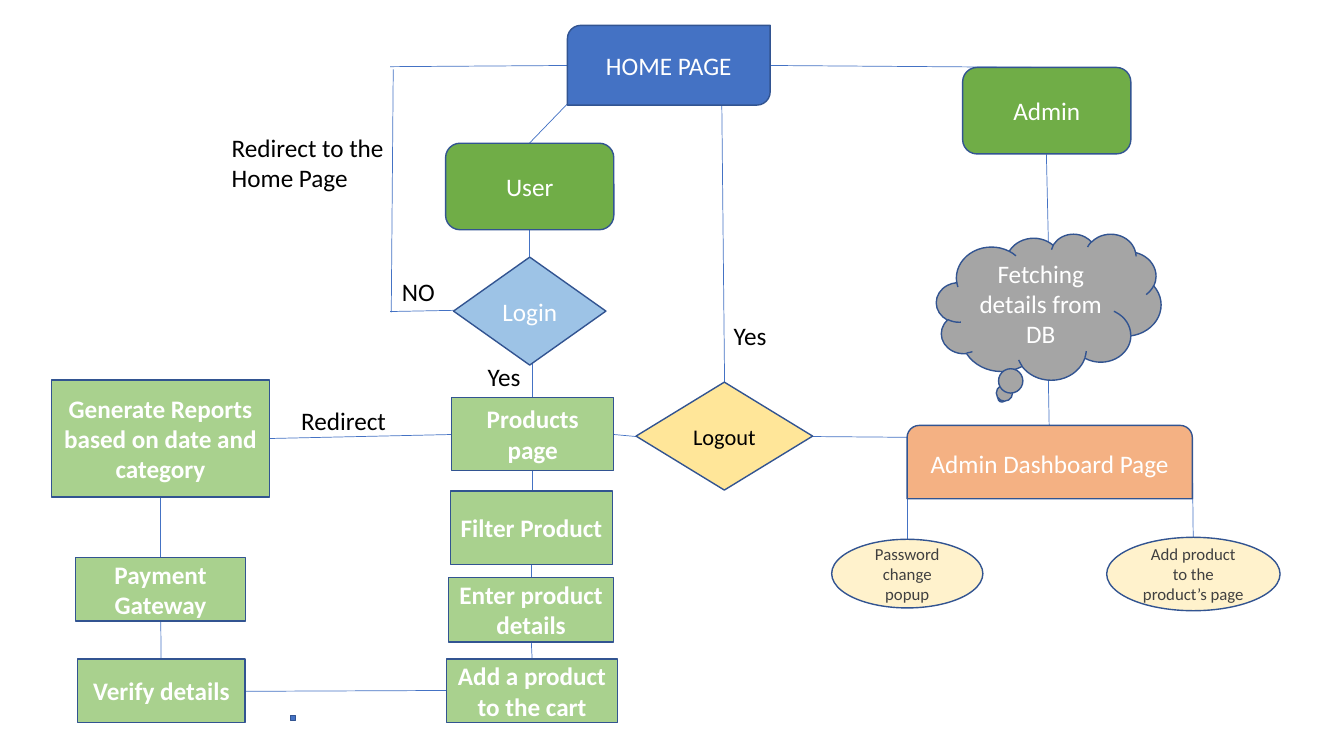
import dataclasses

import pptx
import pptx.dml.color
import pptx.enum.shapes
import pptx.enum.text
import pptx.oxml
import pptx.slide
import pptx.text.text
import pptx.util

RGBColor = pptx.dml.color.RGBColor
Cm = pptx.util.Cm
Pt = pptx.util.Pt
Kind = pptx.enum.shapes.MSO_SHAPE
Align = pptx.enum.text.PP_ALIGN

WHITE = RGBColor(0xFF, 0xFF, 0xFF)
BLACK = RGBColor(0x00, 0x00, 0x00)
DARK = RGBColor(0x40, 0x40, 0x40)
BLUE = RGBColor(0x44, 0x72, 0xC4)
NAVY = RGBColor(0x32, 0x54, 0x91)
SKY = RGBColor(0x9D, 0xC3, 0xE6)
GREEN = RGBColor(0x70, 0xAD, 0x47)
LIME = RGBColor(0xA9, 0xD1, 0x8E)
GREY = RGBColor(0xA5, 0xA5, 0xA5)
PEACH = RGBColor(0xF4, 0xB1, 0x83)
GOLD = RGBColor(0xFF, 0xE6, 0x99)
CREAM = RGBColor(0xFF, 0xF2, 0xCC)


# Lengths in the records are centimetres
@dataclasses.dataclass
class Node:
    text: str
    left: float
    top: float
    width: float
    height: float
    kind: Kind = Kind.RECTANGLE
    fill: RGBColor = LIME
    ink: RGBColor = WHITE
    size: int = 18
    bold: bool = False


@dataclasses.dataclass
class Step(Node):
    bold: bool = True


@dataclasses.dataclass
class Label:
    text: str
    left: float
    top: float
    width: float
    height: float
    wrap: bool = True


@dataclasses.dataclass
class Link:
    x1: float
    y1: float
    x2: float
    y2: float


LINKS = [
    # Home page to user, admin and logout
    Link(15.04, 1.85, 13.34, 3.61),
    Link(19.41, 1.65, 26.37, 1.7),
    Link(18.26, 9.63, 18.19, 2.62),
    # Failed login back to the home page
    Link(11.43, 7.82, 9.83, 7.85),
    Link(9.86, 7.87, 9.91, 1.75),
    Link(9.83, 1.68, 14.3, 1.65),
    # User column
    Link(13.34, 5.79, 13.34, 6.48),
    Link(13.41, 9.17, 13.41, 10.49),
    Link(13.41, 11.86, 13.41, 13.13),
    Link(13.39, 14.55, 13.39, 14.22),
    Link(13.39, 16.18, 13.41, 16.61),
    # Payment column
    Link(11.25, 17.4, 6.17, 17.42),
    Link(4.06, 16.61, 4.04, 14.05),
    Link(4.04, 12.52, 4.04, 14.05),
    Link(11.38, 10.95, 6.78, 11.05),
    # Logout to both sides
    Link(15.47, 10.95, 16.03, 11),
    Link(20.47, 11, 22.94, 11.02),
    # Admin column
    Link(26.37, 3.89, 26.42, 6.1),
    Link(26.42, 9.58, 26.44, 10.72),
    Link(22.86, 11.63, 22.86, 13.59),
    Link(30.05, 11.63, 30.07, 13.54),
]

NODES = [
    Node("HOME PAGE", 14.3, 0.64, 5.11, 2.01, Kind.ROUND_2_DIAG_RECTANGLE, BLUE),
    Node("User", 11.23, 3.61, 4.24, 2.18, Kind.FLOWCHART_ALTERNATE_PROCESS, GREEN),
    Node("Admin", 24.26, 1.7, 4.24, 2.18, Kind.FLOWCHART_ALTERNATE_PROCESS, GREEN),
    Node("Login", 11.43, 6.48, 3.84, 2.72, Kind.FLOWCHART_DECISION, SKY),
    Node("Logout", 16.03, 9.63, 4.45, 2.72, Kind.FLOWCHART_DECISION, GOLD, BLACK, 16),
    Step("Products page", 11.38, 10.01, 4.09, 1.85),
    Step("Filter Product", 11.35, 12.37, 4.09, 1.85),
    Step("Enter product details", 11.3, 14.55, 4.17, 1.63),
    Step("Add a product to the cart", 11.25, 16.61, 4.32, 1.6),
    Step("Verify details", 1.96, 16.61, 4.22, 1.6),
    Step("Payment Gateway", 1.9, 14.05, 4.29, 1.6),
    Step("Generate Reports based on date and category", 1.3, 9.58, 5.49, 2.95),
    Node("", 7.32, 18.03, 0.13, 0.13, fill=BLUE),
    Node("Fetching details from DB", 23.6, 5.89, 5.66, 3.68, Kind.CLOUD_CALLOUT, GREY),
    Node("Admin Dashboard Page", 22.86, 10.72, 7.19, 1.85,
         Kind.ROUND_2_SAME_RECTANGLE, PEACH),
    Node("Password change popup", 20.96, 13.59, 3.81, 1.73, Kind.OVAL, CREAM, DARK, 12),
    Node("Add product to the product’s page", 27.89, 13.54, 4.37, 1.85,
         Kind.OVAL, CREAM, DARK, 12),
]

LABELS = [
    Label("Redirect to the Home Page", 5.59, 3.2, 4.39, 1.8),
    Label("NO", 9.88, 6.83, 1.47, 1.02),
    Label("Yes", 12.04, 8.99, 1.42, 1.02),
    Label("Redirect", 7.34, 10.08, 2.87, 1.04),
    Label("Yes", 18.24, 7.95, 1.35, 1.8, wrap=False),
]


def write(frame: pptx.text.text.TextFrame, text: str, size: int,
          ink: RGBColor, bold: bool = False) -> None:
    frame.text = text
    font = frame.paragraphs[0].font
    font.name, font.size, font.bold = "Calibri", Pt(size), bold
    font.color.rgb = ink


def draw_link(slide: pptx.slide.Slide, link: Link) -> None:
    line = slide.shapes.add_connector(
        pptx.enum.shapes.MSO_CONNECTOR.STRAIGHT,
        Cm(link.x1), Cm(link.y1), Cm(link.x2), Cm(link.y2))
    line.line.color.rgb = BLUE
    line.line.width = Pt(0.5)
    line._element.spPr.append(pptx.oxml.parse_xml(
        '<a:effectLst xmlns:a="http://schemas.openxmlformats.org/drawingml/2006/main"/>'))


def draw_node(slide: pptx.slide.Slide, node: Node) -> None:
    shape = slide.shapes.add_shape(
        node.kind, Cm(node.left), Cm(node.top), Cm(node.width), Cm(node.height))
    shape.shadow.inherit = False
    shape.fill.solid()
    shape.fill.fore_color.rgb = node.fill
    shape.line.color.rgb = NAVY
    shape.line.width = Pt(1)
    if node.text:
        frame = shape.text_frame
        frame.word_wrap = True
        frame.vertical_anchor = pptx.enum.text.MSO_ANCHOR.MIDDLE
        write(frame, node.text, node.size, node.ink, node.bold)
        frame.paragraphs[0].alignment = Align.CENTER


def draw_label(slide: pptx.slide.Slide, label: Label) -> None:
    box = slide.shapes.add_textbox(
        Cm(label.left), Cm(label.top), Cm(label.width), Cm(label.height))
    box.text_frame.word_wrap = label.wrap
    write(box.text_frame, label.text, 18, BLACK)


deck = pptx.Presentation()
deck.slide_width, deck.slide_height = Cm(33.87), Cm(19.05)
slide = deck.slides.add_slide(deck.slide_layouts[6])

# Links lie behind the nodes
for link in LINKS:
    draw_link(slide, link)
for node in NODES:
    draw_node(slide, node)
for label in LABELS:
    draw_label(slide, label)

deck.save("out.pptx")
